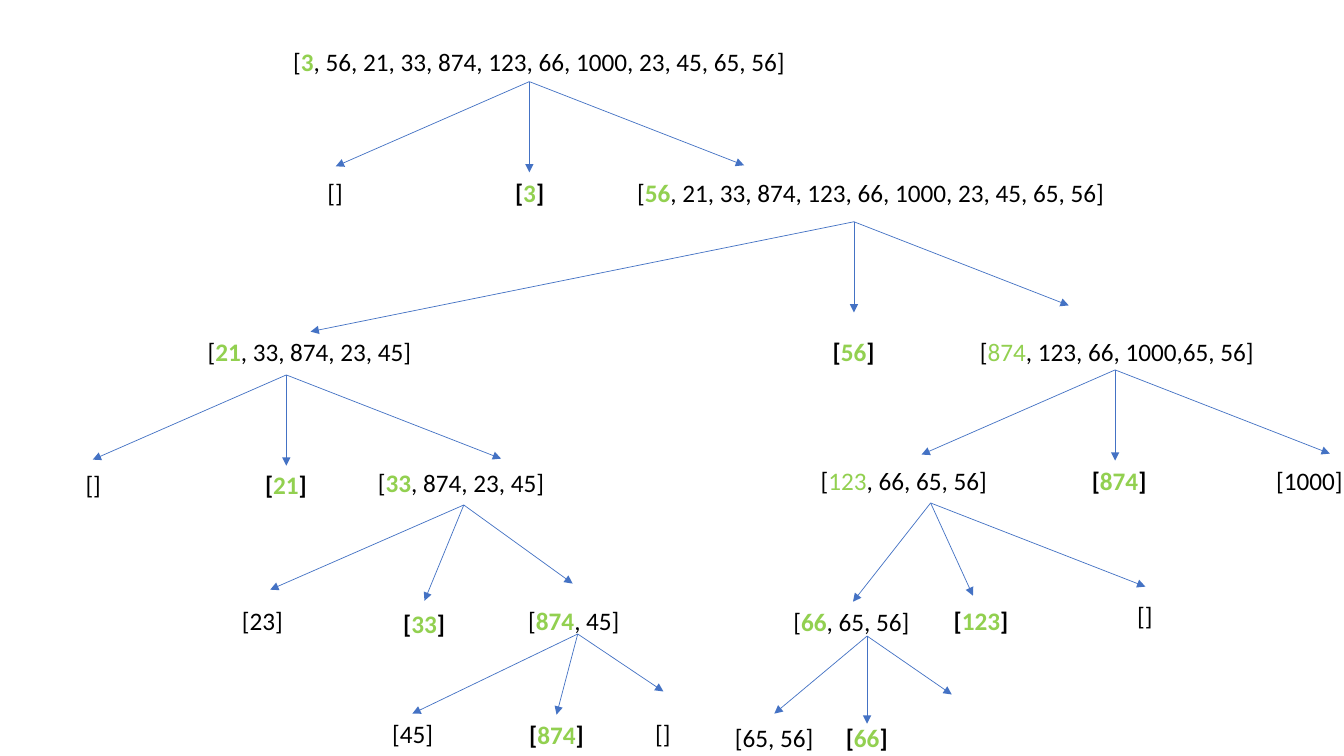
"""Draw the recursion tree of a quicksort on one slide."""
from lxml import etree
from pptx import Presentation
from pptx import util as u
from pptx.dml.color import RGBColor
from pptx.enum import shapes, text
from pptx.oxml.ns import qn

BLACK, GREEN, BLUE = "000000", "92D050", "4472C4"
LIST_HEIGHT = 0.4
LEFT, DOWN, RIGHT = (-1.92, 0.84), (0, 0.9), (2.13, 0.83)

LEVELS = [
    (0.41, [(2.81, 5.14, "3", ", 56, 21, 33, 874, 123, 66, 1000, 23, 45, 65, 56")]),
    (1.71, [
        (3.15, 0.36, "", ""),
        (5.01, 0.49, "3", ""),
        (6.22, 4.89, "56", ", 21, 33, 874, 123, 66, 1000, 23, 45, 65, 56"),
    ]),
    (3.29, [
        (1.96, 2.25, "21", ", 33, 874, 23, 45"),
        (8.16, 0.62, "56", ""),
        (9.62, 2.95, "874", ", 123, 66, 1000,65, 56", {"pivot_bold": False}),
    ]),
    (4.59, [
        (0.75, 0.36, "", "", {"drop": 0.02}),
        (2.53, 0.62, "21", "", {"drop": 0.02}),
        (3.65, 1.87, "33", ", 874, 23, 45"),
        (8.04, 1.93, "123", ", 66, 65, 56", {"pivot_bold": False, "drop": -0.02}),
        (10.73, 0.75, "874", "", {"drop": -0.02}),
        (12.56, 0.87, "", "1000", {"drop": -0.02}),
    ]),
    (5.96, [
        (2.3, 0.61, "", "23"),
        (3.9, 0.62, "33", "", {"drop": 0.03}),
        (5.14, 1.12, "874", ", 45"),
        (7.77, 1.37, "66", ", 65, 56", {"drop": 0.01}),
        (9.36, 0.75, "123", ""),
        (11.18, 0.36, "", "", {"drop": -0.05}),
    ]),
    (7.08, [
        (3.79, 0.61, "", "45"),
        (5.15, 0.75, "874", "", {"drop": 0.01}),
        (6.4, 0.36, "", ""),
        (7.19, 0.99, "", "65, 56", {"drop": 0.04}),
        (8.29, 0.62, "66", "", {"drop": 0.04}),
    ]),
]

SPLITS = [
    (5.25, 0.81, [LEFT, DOWN, RIGHT]),
    (8.47, 2.2, [(-5.39, 1.09), DOWN, RIGHT]),
    (2.84, 3.72, [LEFT, DOWN, RIGHT]),
    (11.06, 3.67, [LEFT, DOWN, RIGHT]),
    (4.6, 5.01, [LEFT, (-0.39, 0.95), (1.08, 0.78)]),
    (9.23, 4.99, [(-0.77, 0.98), (0.42, 0.92), RIGHT]),
    (5.73, 6.29, [(-1.64, 0.79), (-0.21, 0.8), (0.85, 0.57)]),
    (8.6, 6.31, [(-0.92, 0.77), (0, 0.87), (0.84, 0.58)]),
]


def color(value):
    """Return the colour of a hex string."""
    return RGBColor.from_string(value)


def add_span(para, words, fill=BLACK, bold=False):
    """Append a formatted run to a paragraph."""
    span = para.add_run()
    span.text = words
    span.font.name = "Calibri"
    span.font.size = u.Pt(18)
    span.font.bold = bold
    span.font.color.rgb = color(fill)


def add_list(page, left, top, width, pivot, rest, pivot_bold=True):
    """Write a bracketed list with its pivot in green."""
    box = page.shapes.add_textbox(*map(u.Inches, (left, top, width, LIST_HEIGHT)))
    box.text_frame.word_wrap = False
    box.text_frame.auto_size = text.MSO_AUTO_SIZE.SHAPE_TO_FIT_TEXT
    para = box.text_frame.paragraphs[0]
    if not pivot:
        add_span(para, f"[{rest}]")
        return
    alone = not rest
    add_span(para, "[", bold=alone)
    add_span(para, pivot, fill=GREEN, bold=pivot_bold)
    add_span(para, f"{rest}]", bold=alone)


def add_arrow(page, start, end):
    """Draw a thin arrow between two points."""
    arrow = page.shapes.add_connector(
        shapes.MSO_CONNECTOR.STRAIGHT, *map(u.Inches, (*start, *end)))
    arrow.line.color.rgb = color(BLUE)
    arrow.line.width = u.Pt(0.5)
    etree.SubElement(arrow.line._get_or_add_ln(), qn("a:tailEnd"), type="triangle")
    etree.SubElement(arrow._element.spPr, qn("a:effectLst"))


def draw_level(page, top, lists):
    """Write the lists of one recursion depth."""
    for left, width, pivot, rest, *options in lists:
        settings = dict(*options)
        drop = settings.pop("drop", 0)
        add_list(page, left, top + drop, width, pivot, rest, **settings)


def draw_split(page, left, top, branches):
    """Fan arrows out from the point below a list."""
    for across, down in branches:
        add_arrow(page, (left, top), (left + across, top + down))


def main():
    """Build and save the deck."""
    deck = Presentation()
    deck.slide_width, deck.slide_height = u.Inches(13.33), u.Inches(7.5)
    page = deck.slides.add_slide(deck.slide_layouts[6])
    for split in SPLITS:
        draw_split(page, *split)
    for level in LEVELS:
        draw_level(page, *level)
    deck.save("out.pptx")


if __name__ == "__main__":
    main()
